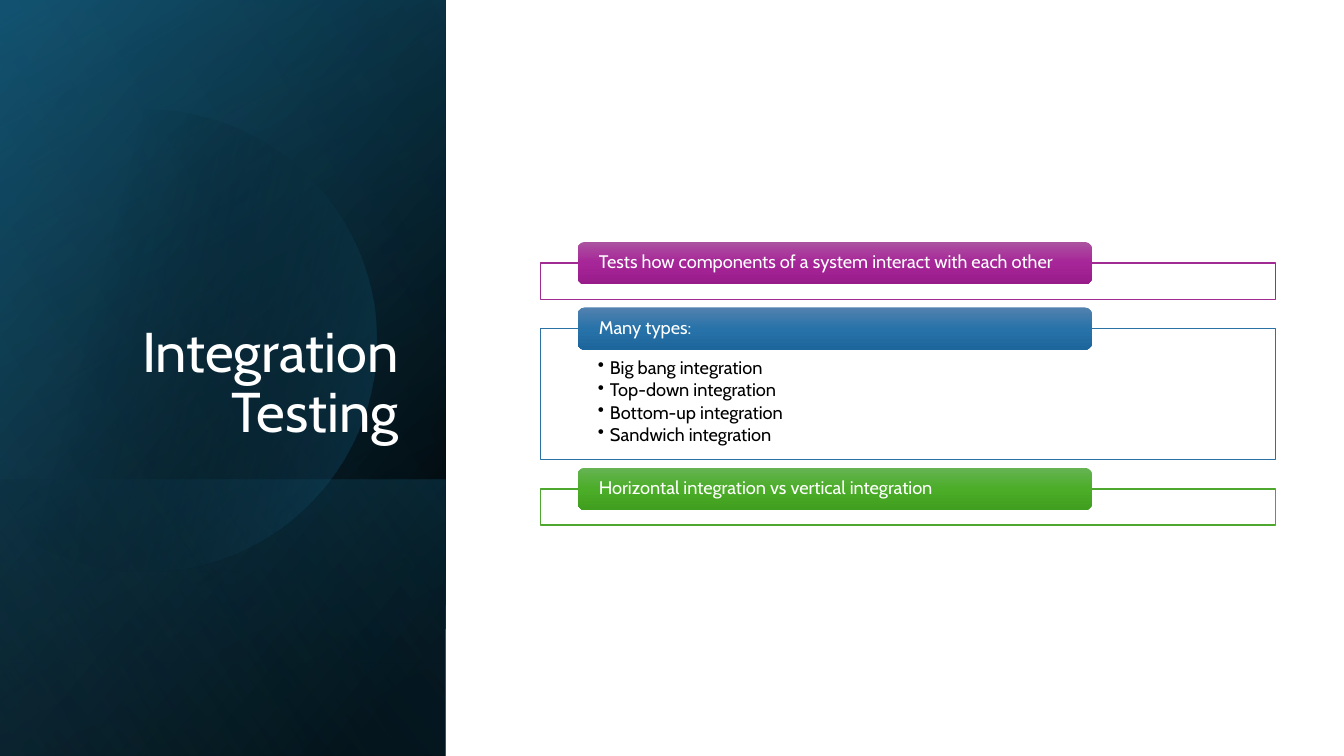
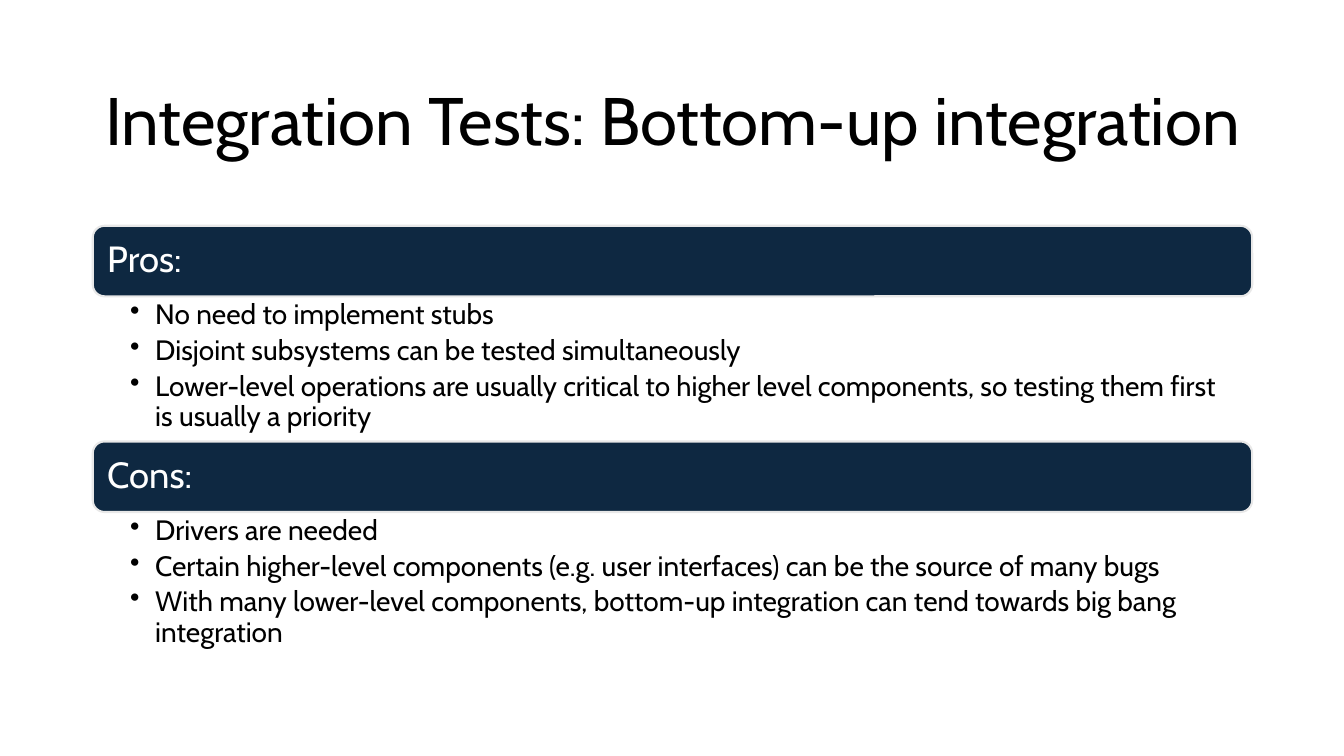
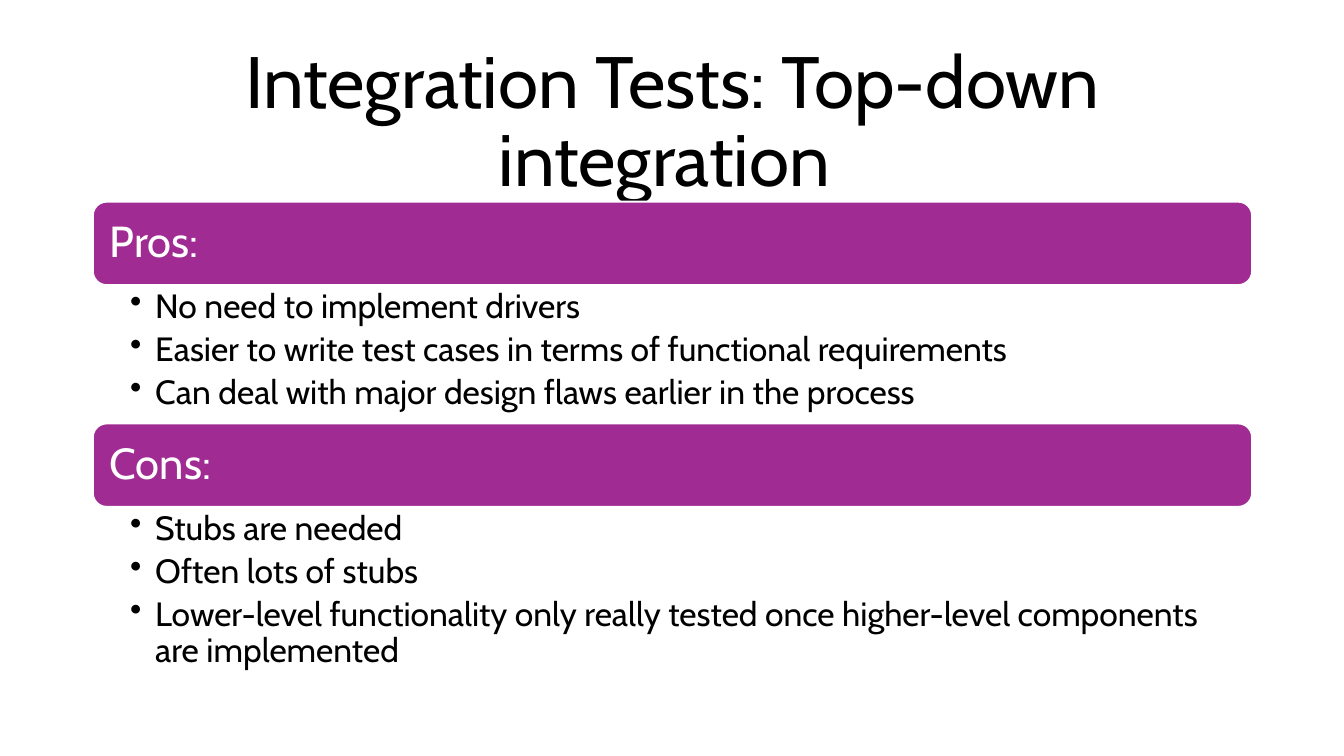
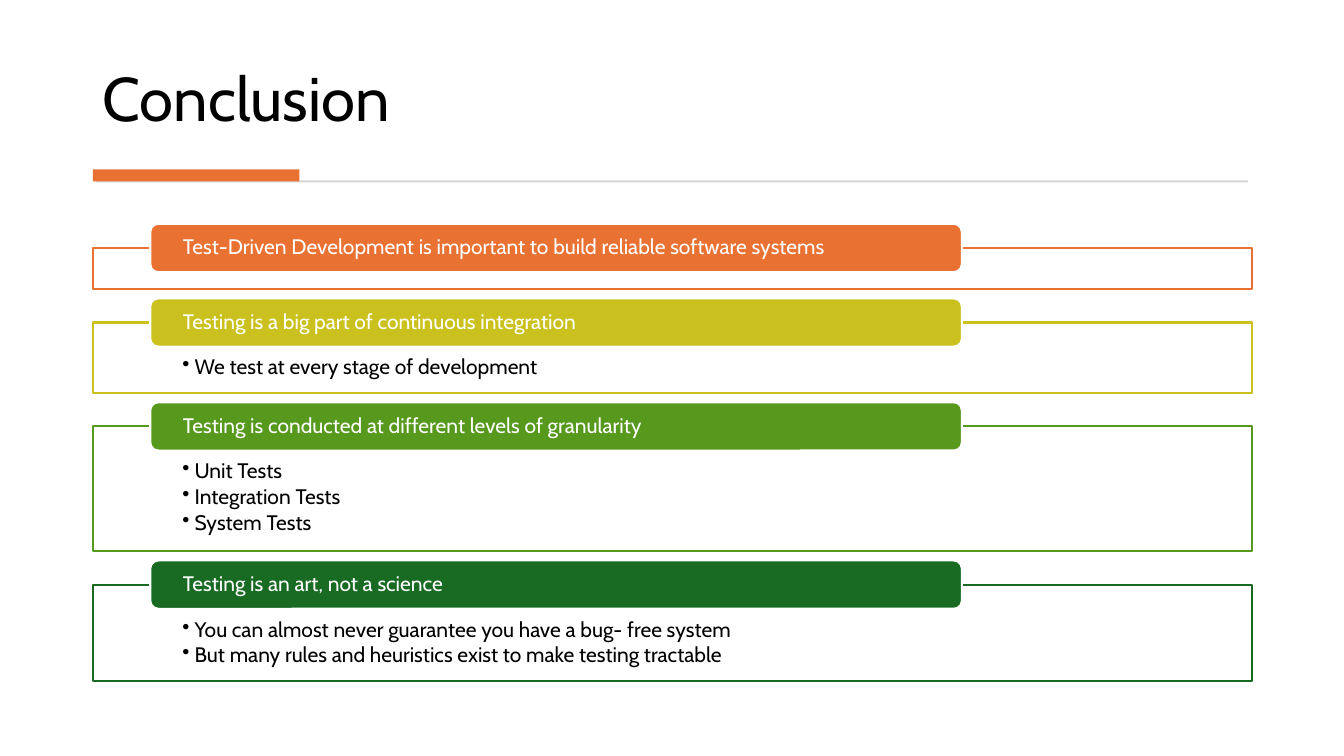
from collections import namedtuple
from math import acos, cos, sin

from lxml import etree
from pptx import Presentation
from pptx.dml.color import RGBColor
from pptx.enum.shapes import MSO_SHAPE
from pptx.enum.text import MSO_ANCHOR, PP_ALIGN
from pptx.oxml.ns import qn
from pptx.util import Inches, Pt

RECTANGLE, ROUNDED = MSO_SHAPE.RECTANGLE, MSO_SHAPE.ROUNDED_RECTANGLE
TOP, MIDDLE, BOTTOM = MSO_ANCHOR.TOP, MSO_ANCHOR.MIDDLE, MSO_ANCHOR.BOTTOM
LEFT, CENTER, RIGHT = PP_ALIGN.LEFT, PP_ALIGN.CENTER, PP_ALIGN.RIGHT

FONT = "Cabin"
WHITE, BLACK, NAVY, PURPLE = "FFFFFF", "000000", "0E2841", "A02B93"
ORANGE, TEAL, GREY, PALE = "E97132", "156082", "D5D5D5", "E8E8E8"

# Stops are (position %, colour, opacity %); the angle runs clockwise from rightwards
Gradient = namedtuple("Gradient", "angle stops")
# Measures shared by the framed headings of one slide
FrameStyle = namedtuple(
    "FrameStyle", "left width header_left header_width header_height "
    "gap size line_width header_inset body_insets")
# Measures shared by the heading bars of one slide
BarStyle = namedtuple("BarStyle", "height size body_size inset body_insets color outline")


def rgb(color):
    return RGBColor.from_string(color)


def glossy(*colors):
    return Gradient(90, [(50 * i, color, 100) for i, color in enumerate(colors)])


class Deck:
    """Holds the shared style and the slide being drawn."""

    def __init__(self):
        self.deck = Presentation()
        self.deck.slide_width, self.deck.slide_height = Inches(13.33), Inches(7.5)
        self.page = None

    def new_page(self):
        self.page = self.deck.slides.add_slide(self.deck.slide_layouts[6])

    def paint(self, shape, fill, line=None, line_width=1):
        shape.shadow.inherit = False
        if isinstance(fill, Gradient):
            self.paint_gradient(shape, fill)
        else:
            shape.fill.solid()
            shape.fill.fore_color.rgb = rgb(fill)
        if line:
            shape.line.color.rgb = rgb(line)
            shape.line.width = Pt(line_width)
        else:
            shape.line.fill.background()

    def paint_gradient(self, shape, gradient):
        shape.fill.background()
        properties = shape._element.spPr
        fill = etree.Element(qn("a:gradFill"), rotWithShape="1")
        stops = etree.SubElement(fill, qn("a:gsLst"))
        for position, color, opacity in gradient.stops:
            stop = etree.SubElement(stops, qn("a:gs"), pos=str(position * 1000))
            value = etree.SubElement(stop, qn("a:srgbClr"), val=color)
            if opacity < 100:
                etree.SubElement(value, qn("a:alpha"), val=str(opacity * 1000))
        etree.SubElement(fill, qn("a:lin"), ang=str(gradient.angle * 60000), scaled="0")
        properties.replace(properties.find(qn("a:noFill")), fill)

    def shape(self, kind, left, top, width, height, fill, line=None, line_width=1):
        box = self.page.shapes.add_shape(
            kind, Inches(left), Inches(top), Inches(width), Inches(height))
        self.paint(box, fill, line, line_width)
        return box

    def text_box(self, left, top, width, height):
        return self.page.shapes.add_textbox(
            Inches(left), Inches(top), Inches(width), Inches(height))

    def put_text(self, box, lines, size, color, insets, anchor=TOP, align=LEFT,
                 bullet_indent=0, after=0):
        frame = box.text_frame
        frame.word_wrap = True
        frame.vertical_anchor = anchor
        (frame.margin_left, frame.margin_top,
         frame.margin_right, frame.margin_bottom) = map(Inches, insets)
        frame.text = "\n".join(lines)
        for para in frame.paragraphs:
            para.alignment = align
            para.line_spacing = 0.9
            para.space_after = Pt(round(size * after, 1))
            if bullet_indent:
                indent = Inches(bullet_indent)
                properties = para._p.get_or_add_pPr()
                properties.set("marL", str(indent))
                properties.set("indent", str(-indent))
                etree.SubElement(properties, qn("a:buChar"), char="•")
            for span in para.runs:
                span.font.name = FONT
                span.font.size = Pt(size)
                span.font.color.rgb = rgb(color)

    def title(self, text, area, size, color=BLACK, anchor=MIDDLE, align=CENTER):
        self.put_text(self.text_box(*area), [text], size, color,
                      (0.1, 0.05, 0.1, 0.05), anchor, align)

    def disc(self, center_x, center_y, radius, fill):
        """A disc cut off at the left edge of the slide."""
        limit = acos(-center_x / radius)
        steps = 90
        angles = [limit * (2 * i / steps - 1) for i in range(steps + 1)]
        points = [(Inches(max(0, center_x + radius * cos(angle))),
                   Inches(center_y + radius * sin(angle))) for angle in angles]
        builder = self.page.shapes.build_freeform(*points[0])
        builder.add_line_segments(points[1:], close=True)
        self.paint(builder.convert_to_shape(), fill)

    def framed_sections(self, top, style, sections):
        """Frames stacked downwards, each with a heading across its top edge."""
        for heading, bullets, height, line, fill, outline in sections:
            frame_top = top + style.header_height / 2
            frame = self.shape(RECTANGLE, style.left, frame_top, style.width, height,
                               WHITE, line, style.line_width)
            if bullets:
                self.put_text(frame, bullets, style.size, BLACK, style.body_insets,
                              bullet_indent=0.12, after=0.15)
            header = self.shape(ROUNDED, style.header_left, top, style.header_width,
                                style.header_height, fill, outline, style.line_width)
            inset = style.header_inset
            self.put_text(header, [heading], style.size, WHITE, (inset, 0, inset, 0), MIDDLE)
            top = frame_top + height + style.gap

    def bar_sections(self, top, style, sections):
        """Full-width heading bars, each followed by its bullets."""
        for heading, bullets, height in sections:
            bar = self.shape(ROUNDED, 0.92, top, 11.5, style.height,
                             style.color, style.outline, 1.5)
            self.put_text(bar, [heading], style.size, WHITE, [style.inset] * 4, MIDDLE)
            top += style.height
            self.put_text(self.text_box(0.92, top, 11.5, height), bullets, style.body_size,
                          BLACK, style.body_insets, bullet_indent=0.25, after=0.2)
            top += height


def integration_page(deck):
    deck.new_page()
    # Dark side panel in translucent layers
    panel = (0, 0, 4.42, 7.5)
    deck.shape(RECTANGLE, *panel, Gradient(220, [(8, BLACK, 100), (100, "104862", 100)]))
    deck.shape(RECTANGLE, *panel, Gradient(240, [(0, BLACK, 0), (99, TEAL, 46)]))
    deck.shape(RECTANGLE, 0, 4.76, 4.42, 2.74,
               Gradient(140, [(2, TEAL, 29), (100, BLACK, 30)]))
    deck.disc(1.44, 3.38, 2.29, Gradient(14, [(29, BLACK, 0), (100, TEAL, 43)]))
    deck.shape(RECTANGLE, *panel, Gradient(150, [(0, BLACK, 0), (99, "46B1E1", 11)]))
    deck.title("Integration Testing", (0.64, 1.84, 3.41, 2.62), 40, WHITE, BOTTOM, RIGHT)
    # Framed headings
    style = FrameStyle(5.36, 7.29, 5.73, 5.1, 0.42, 0.08, 13, 1, 0.19,
                       (0.57, 0.3, 0.57, 0.1))
    deck.framed_sections(2.4, style, [
        ("Tests how components of a system interact with each other", [], 0.36,
         PURPLE, glossy("AC53A0", "A62598", "991C8B"), None),
        ("Many types:",
         ["Big bang integration", "Top-down integration",
          "Bottom-up integration", "Sandwich integration"], 1.3,
         "2C71A4", glossy("5382AF", "2772A9", "1D669C"), None),
        ("Horizontal integration vs vertical integration", [], 0.36,
         "4EA72E", glossy("66B354", "4BAD28", "409F1E"), None),
    ])


def bottom_up_page(deck):
    deck.new_page()
    deck.title("Integration Tests: Bottom-up integration ", (0.92, 0.61, 11.5, 1.24), 48)
    style = BarStyle(0.7, 26, 20, 0.11, (0.37, 0.04, 0.2, 0.04), NAVY, PALE)
    deck.bar_sections(2.24, style, [
        ("Pros:",
         ["No need to implement stubs",
          "Disjoint subsystems can be tested simultaneously",
          "Lower-level operations are usually critical to higher level components, "
          "so testing them first is usually a priority"], 1.44),
        ("Cons:",
         ["Drivers are needed",
          "Certain higher-level components (e.g. user interfaces) can be the source "
          "of many bugs",
          "With many lower-level components, bottom-up integration can tend towards "
          "big bang integration"], 1.44),
    ])


def top_down_page(deck):
    deck.new_page()
    deck.title("Integration Tests: Top-down integration ", (0.92, 0.61, 11.5, 1.24), 52)
    style = BarStyle(0.83, 31, 24, 0.13, (0.37, 0.04, 0.24, 0.04), PURPLE, WHITE)
    deck.bar_sections(2, style, [
        ("Pros:",
         ["No need to implement drivers",
          "Easier to write test cases in terms of functional requirements",
          "Can deal with major design flaws earlier in the process"], 1.37),
        ("Cons:",
         ["Stubs are needed",
          "Often lots of stubs",
          "Lower-level functionality only really tested once higher-level components "
          "are implemented"], 1.72),
    ])


def conclusion_page(deck):
    deck.new_page()
    deck.title("Conclusion", (0.92, 0.28, 11.49, 1.11), 44, anchor=BOTTOM, align=LEFT)
    # Rule with an accent
    deck.shape(RECTANGLE, 0.95, 1.79, 11.43, 0.02, GREY)
    deck.shape(RECTANGLE, 0.92, 1.68, 2.05, 0.12, ORANGE)
    # Framed headings
    style = FrameStyle(0.92, 11.5, 1.49, 8.05, 0.48, 0.09, 15, 1.5, 0.3,
                       (0.89, 0.34, 0.89, 0.12))
    points = [
        ("Test-Driven Development is important to build reliable software systems",
         [], 0.41, ORANGE),
        ("Testing is a big part of continuous integration",
         ["We test at every stage of development"], 0.7, "CBC11E"),
        ("Testing is conducted at different levels of granularity",
         ["Unit Tests", "Integration Tests", "System Tests"], 1.24, "56991D"),
        ("Testing is an art, not a science",
         ["You can almost never guarantee you have a bug- free system",
          "But many rules and heuristics exist to make testing tractable"],
         0.96, "196B24"),
    ]
    deck.framed_sections(2.22, style, [(*point, point[-1], WHITE) for point in points])


def main():
    deck = Deck()
    integration_page(deck)
    bottom_up_page(deck)
    top_down_page(deck)
    conclusion_page(deck)
    deck.deck.save("out.pptx")


if __name__ == "__main__":
    main()
